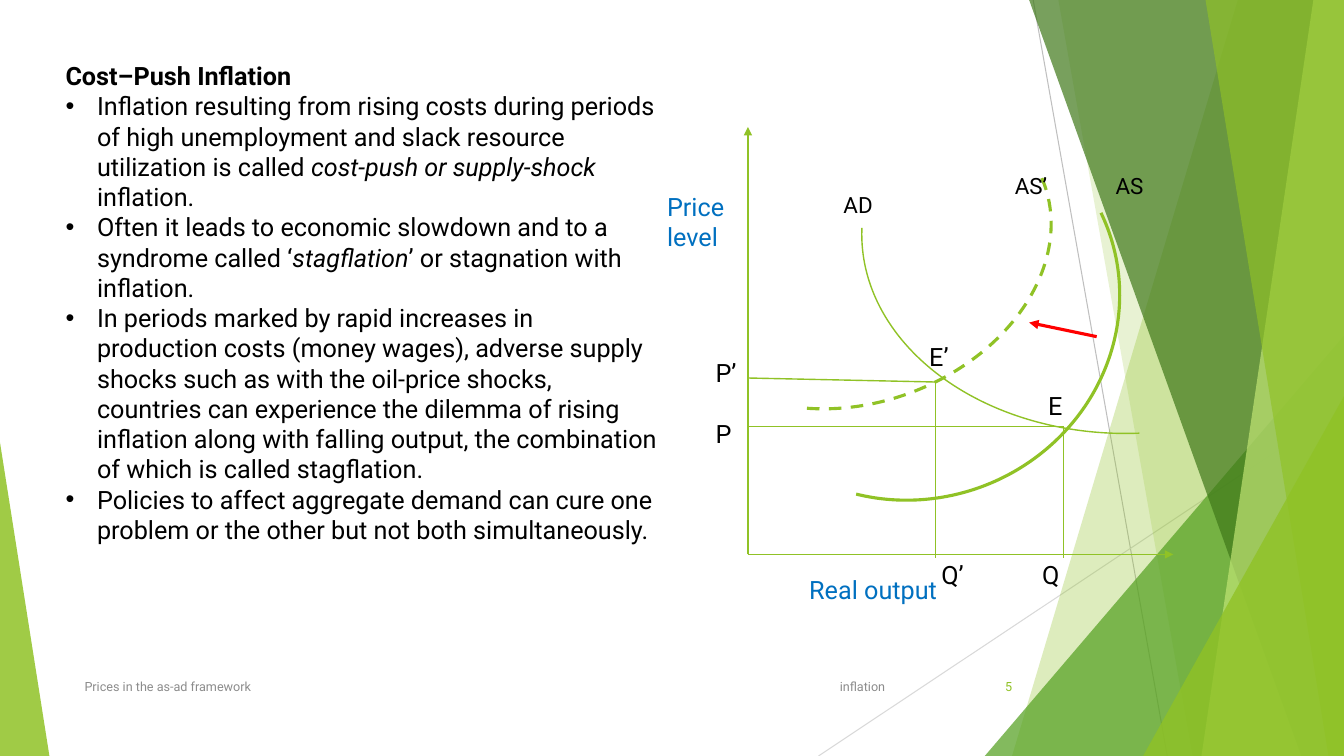
from dataclasses import dataclass

from lxml import etree
from pptx import Presentation
from pptx.dml.color import RGBColor
from pptx.enum import dml, shapes, text
from pptx.oxml import ns
from pptx.util import Pt


@dataclass(frozen=True)
class Theme:
    font: str = "Roboto"
    green: str = "90C226"
    mid_green: str = "54A021"
    dark_green: str = "3F7819"
    pale_green: str = "C0E474"
    silver: str = "BFBFBF"
    light_silver: str = "D9D9D9"
    grey: str = "8C8C8C"
    ink: str = "000000"
    blue: str = "0070C0"
    red: str = "FF0000"
    body: int = 18
    curve_label: int = 16
    footer: int = 9
    thin: float = 0.75
    line: float = 1
    thick: float = 2.25


THEME = Theme()
WIDTH, HEIGHT = 960, 540
LINE_HEIGHT = 21.6

HEADING = "Cost–Push Inflation"
# Each bullet is a list of (words, italic)
BULLETS = [
    [("Inflation resulting from rising costs during periods of high unemployment "
      "and slack resource utilization is called ", False),
     ("cost-push or supply-shock ", True), ("inflation.", False)],
    [("Often it leads to economic slowdown and to a syndrome called ‘", False),
     ("stagflation", True), ("’ or stagnation with inflation.", False)],
    [("In periods marked by rapid increases in production costs (money wages), "
      "adverse supply shocks such as with the oil-price shocks, countries can "
      "experience the dilemma of rising inflation along with falling output, the "
      "combination of which is called stagflation.", False)],
    [("Policies to affect aggregate demand can cure one problem or the other but "
      "not both simultaneously.", False)],
]
HEADING_BOX = (39.6, 39.6, 438.48, 25.2)
BULLET_BOX = (39.6, 64.8, 438.48, 352.8)

HAIRLINES = [
    ((738, 0), (833.76, HEIGHT), THEME.silver),
    ((WIDTH, 290.16), (584.64, HEIGHT), THEME.light_silver),
]
# Bands reach the right edge: (top x, bottom x); triangles: (left, top, width, apex)
FACETS = [
    ("band", (884.16, 722.88), THEME.green, 30),
    ("band", (756, 851.76), THEME.green, 20),
    ("triangle", (703.44, 239.76, 256.56, 1), THEME.mid_green, 72),
    ("band", (735.12, 929.52), THEME.dark_green, 70),
    ("band", (938.16, 858.24), THEME.pale_green, 70),
    ("band", (861.12, 948.96), THEME.green, 65),
    ("triangle", (816.48, 282.96, 143.52, 1), THEME.green, 80),
    ("triangle", (0, 316.08, 35.28, 0), THEME.green, 85),
]

FOOTERS = [
    ("inflation", (567.36, 475.92, 72, 28.8), THEME.grey, text.PP_ALIGN.RIGHT),
    ("Prices in the as-ad framework", (53.28, 475.92, 496.08, 28.8), THEME.grey,
     text.PP_ALIGN.LEFT),
    ("5", (676.08, 475.92, 54, 28.8), THEME.green, text.PP_ALIGN.RIGHT),
]

ORIGIN = (534.24, 396)
OLD_POINT, NEW_POINT = (759.6, 304.56), (668.16, 272.88)
DROP_END = 398.88
# start, end, colour, weight, arrowhead
CHART_LINES = [
    (ORIGIN, (ORIGIN[0], 90.72), THEME.green, THEME.line, True),
    (ORIGIN, (838.08, ORIGIN[1]), THEME.green, THEME.line, True),
    (NEW_POINT, (NEW_POINT[0], DROP_END), THEME.green, THEME.line, False),
    (OLD_POINT, (OLD_POINT[0], DROP_END), THEME.green, THEME.line, False),
    (NEW_POINT, (ORIGIN[0], 270), THEME.green, THEME.line, False),
    (OLD_POINT, (ORIGIN[0], OLD_POINT[1]), THEME.green, THEME.line, False),
    ((783.36, 240.48), (735.12, 230.4), THEME.red, THEME.thick, True),
]
# box, rotation, start and end angles, weight, dashed, mirrored
CURVES = [
    ((506.16, 38.88, 213.84, 282.96), 69.6, (161.01, 24.84), THEME.thick, True, False),
    ((511.2, 66.96, 282.24, 296.64), 69.6, (159.08, 22.13), THEME.thick, False, False),
    ((615.6, 25.2, 376.56, 284.4), 0, (215.16, 56.42), THEME.line, False, True),
]
CHART_LABELS = [
    ("E’", (656.64, 240.48, 37.44, 28.8), THEME.body, THEME.ink),
    ("E", (741.6, 275.04, 25.2, 28.8), THEME.body, THEME.ink),
    ("P’\nP", (504, 252, 36.72, 72.72), THEME.body, THEME.ink),
    ("Q’\tQ", (665.28, 396, 125.28, 28.8), THEME.body, THEME.ink),
    ("AS’\tAS", (717.84, 119.52, 110.88, 26.64), THEME.curve_label, THEME.ink),
    ("AD", (595.44, 133.2, 48.24, 26.64), THEME.curve_label, THEME.ink),
    ("Real output", (570.96, 406.8, 175.68, 28.8), THEME.body, THEME.blue),
    ("Price level", (469.44, 133.2, 64.8, 51.12), THEME.body, THEME.blue),
]


def points(values):
    return [Pt(value) for value in values]


def style_run(span, size, color, bold=False, italic=False):
    font = span.font
    font.name, font.size, font.bold, font.italic = THEME.font, Pt(size), bold, italic
    font.color.rgb = RGBColor.from_string(color)


def add_line(page, start, end, color, weight, arrow=False):
    line = page.shapes.add_connector(
        shapes.MSO_CONNECTOR.STRAIGHT, *points(start + end))
    line.line.color.rgb = RGBColor.from_string(color)
    line.line.width = Pt(weight)
    if arrow:
        etree.SubElement(line.line._get_or_add_ln(), ns.qn("a:tailEnd"), type="triangle")
    etree.SubElement(line._element.spPr, ns.qn("a:effectLst"))


def add_facet(page, kind, place, color, opacity):
    if kind == "band":
        top_x, bottom_x = place
        outline = page.shapes.build_freeform(Pt(top_x), 0)
        outline.add_line_segments(
            [points(corner) for corner in
             ((WIDTH, 0), (WIDTH, HEIGHT), (bottom_x, HEIGHT))], close=True)
        facet = outline.convert_to_shape()
    else:
        left, top, width, apex = place
        facet = page.shapes.add_shape(
            shapes.MSO_SHAPE.ISOSCELES_TRIANGLE,
            *points((left, top, width, HEIGHT - top)))
        facet.adjustments[0] = apex
    facet.shadow.inherit = False
    facet.line.fill.background()
    facet.fill.solid()
    facet.fill.fore_color.rgb = RGBColor.from_string(color)
    tint = facet._element.spPr.find(".//" + ns.qn("a:srgbClr"))
    etree.SubElement(tint, ns.qn("a:alpha"), val=str(opacity * 1000))


def add_curve(page, box, rotation, angles, weight, dashed, mirrored):
    curve = page.shapes.add_shape(shapes.MSO_SHAPE.ARC, *points(box))
    curve.adjustments[0], curve.adjustments[1] = angles
    curve.rotation = rotation
    curve.shadow.inherit = False
    curve.fill.background()
    curve.line.color.rgb = RGBColor.from_string(THEME.green)
    curve.line.width = Pt(weight)
    if dashed:
        curve.line.dash_style = dml.MSO_LINE.DASH
    if mirrored:
        curve._element.spPr.xfrm.set("flipH", "1")


def add_label(page, words, box, size, color, align=text.PP_ALIGN.LEFT,
              anchor=text.MSO_ANCHOR.TOP):
    frame = page.shapes.add_textbox(*points(box)).text_frame
    frame.word_wrap = True
    frame.vertical_anchor = anchor
    frame.text = words
    for index, para in enumerate(frame.paragraphs):
        para.alignment = align
        if index:
            para.space_before = Pt(LINE_HEIGHT)
        if "\t" in words:
            tabs = etree.SubElement(para._p.get_or_add_pPr(), ns.qn("a:tabLst"))
            etree.SubElement(tabs, ns.qn("a:tab"), pos=str(Pt(72)), algn="l")
        for span in para.runs:
            style_run(span, size, color)


def place_placeholder(holder, box):
    holder.left, holder.top, holder.width, holder.height = points(box)
    frame = holder.text_frame
    frame.word_wrap = True
    frame.auto_size = text.MSO_AUTO_SIZE.NONE
    frame.vertical_anchor = text.MSO_ANCHOR.TOP
    return frame


def fill_text(page):
    frame = place_placeholder(page.shapes.title, HEADING_BOX)
    frame.text = HEADING
    frame.paragraphs[0].alignment = text.PP_ALIGN.LEFT
    style_run(frame.paragraphs[0].runs[0], THEME.body, THEME.ink, bold=True)

    frame = place_placeholder(page.placeholders[1], BULLET_BOX)
    frame.margin_top = 0
    for index, bullet in enumerate(BULLETS):
        para = frame.add_paragraph() if index else frame.paragraphs[0]
        para.space_before = Pt(0)
        props = para._p.get_or_add_pPr()
        props.set("marL", str(Pt(22.5)))
        props.set("indent", str(Pt(-22.5)))
        etree.SubElement(props, ns.qn("a:buFont"), typeface="Arial")
        etree.SubElement(props, ns.qn("a:buChar"), char="•")
        for words, italic in bullet:
            span = para.add_run()
            span.text = words
            style_run(span, THEME.body, THEME.ink, italic=italic)


def main():
    deck = Presentation()
    deck.slide_width, deck.slide_height = Pt(WIDTH), Pt(HEIGHT)
    page = deck.slides.add_slide(deck.slide_layouts[1])
    fill_text(page)
    for start, end, color in HAIRLINES:
        add_line(page, start, end, color, THEME.thin)
    for facet in FACETS:
        add_facet(page, *facet)
    for words, box, color, align in FOOTERS:
        add_label(page, words, box, THEME.footer, color, align, text.MSO_ANCHOR.MIDDLE)
    for line in CHART_LINES:
        add_line(page, *line)
    for curve in CURVES:
        add_curve(page, *curve)
    for label in CHART_LABELS:
        add_label(page, *label)
    deck.save("out.pptx")


if __name__ == "__main__":
    main()
